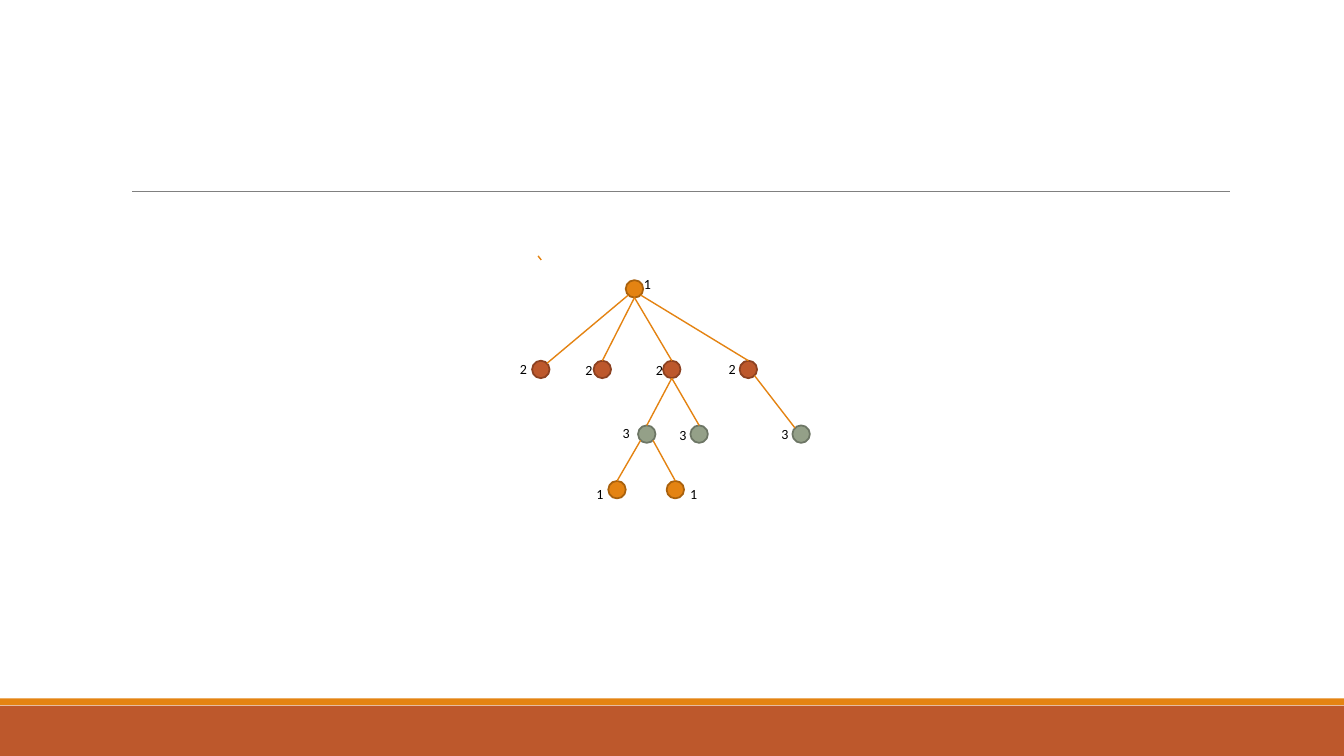
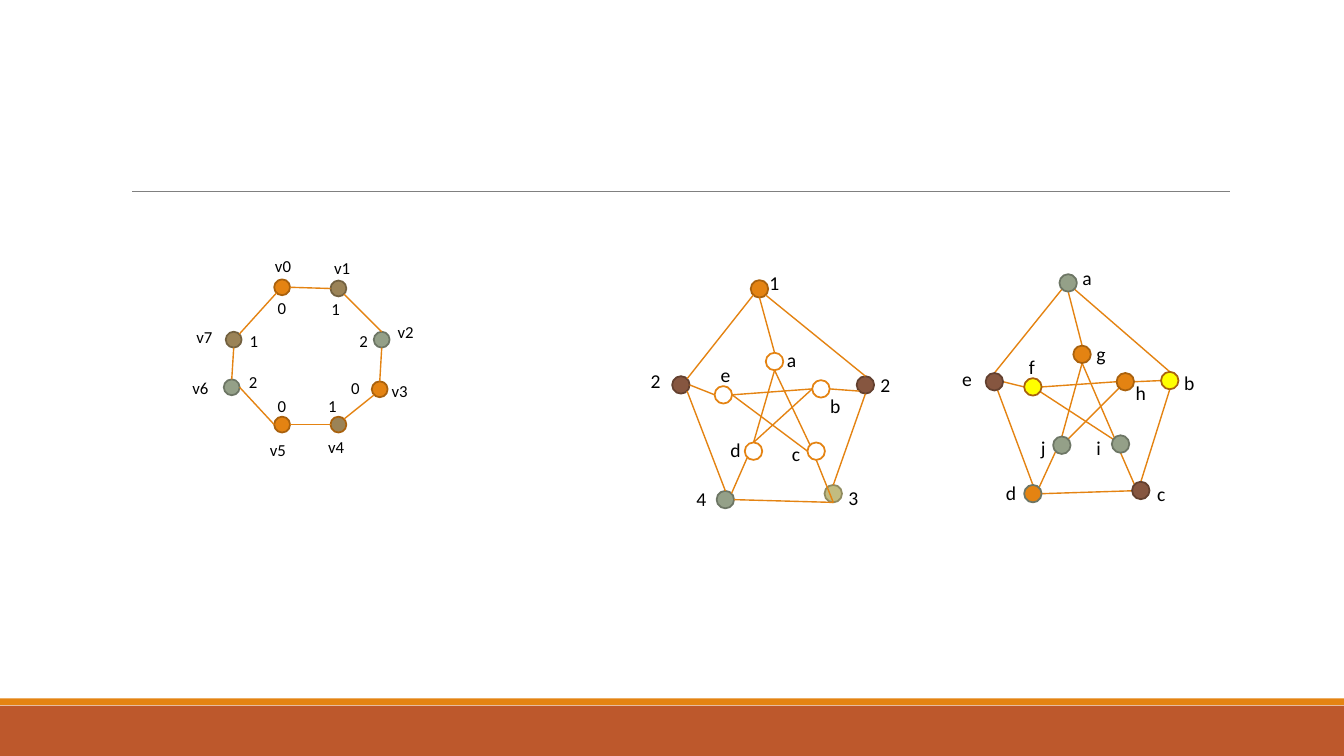
from math import cos, radians, sin
from typing import NamedTuple

from lxml import etree
from pptx import Presentation
from pptx.dml.color import RGBColor
from pptx.enum.shapes import MSO_CONNECTOR as Connector, MSO_SHAPE as Preset
from pptx.enum.text import MSO_AUTO_SIZE as AutoSize
from pptx.oxml.ns import qn
from pptx.util import Cm, Pt

WIDTH, HEIGHT = 33.87, 19.05
ORANGE, RUST, BLACK, GREY = "E48312", "BD582C", "000000", "808080"
BLANK_LAYOUT = 6

# Fill and outline of each kind of node
NODE_STYLES = {
    "orange": (ORANGE, "A9610D"),
    "rust": (RUST, "8C4121"),
    "sage": ("94A088", "6D7665"),
    "tan": ("9B8357", "736140"),
    "tan, orange rim": ("9B8357", "A9610D"),
    "orange, sage rim": (ORANGE, "6D7665"),
    "brown": ("865640", "63402F"),
    "olive": ("C2BC80", "908B5F"),
    "yellow": ("FFFF00", "A9610D"),
    "hollow": (None, ORANGE),
}

# Points on a node's rim, as angles from east, clockwise
RIM = {side: 45 * step for step, side in enumerate(
    ["E", "SE", "S", "SW", "W", "NW", "N", "NE"])}


class Graph(NamedTuple):
    """Lengths in cm: nodes are relative to the box, labels to their node's centre."""
    nodes: dict     # name: (x, y, style)
    labels: list    # (node, text, left, top)
    edges: list     # "node side node side", side C being the centre
    diameter: float
    label_box: tuple
    label_size: int
    edges_in_front: bool = True


TREE = Graph(
    nodes={
        "root": (3.29, 0.93, "orange"),
        "p": (0.93, 2.96, "rust"), "q": (2.48, 2.96, "rust"),
        "r": (4.23, 2.96, "rust"), "s": (6.16, 2.96, "rust"),
        "t": (3.6, 4.59, "sage"), "u": (4.92, 4.59, "sage"),
        "v": (7.49, 4.59, "sage"),
        "w": (2.85, 5.99, "orange"), "x": (4.32, 5.99, "orange"),
    },
    labels=[
        ("root", "1", -0.01, -0.47),
        ("p", "2", -0.78, -0.35), ("q", "2", -0.68, -0.32),
        ("r", "2", -0.65, -0.32), ("s", "2", -0.75, -0.35),
        ("t", "3", -0.86, -0.37), ("u", "3", -0.75, -0.32),
        ("v", "3", -0.75, -0.35),
        ("w", "1", -0.77, -0.22), ("x", "1", 0.12, -0.22),
    ],
    edges=["root SW p NE", "root S q N", "root S r N", "root SE s N",
           "r S t N", "r S u N", "s SE v NW", "t SW w N", "t SE x N"],
    diameter=0.44, label_box=(0.53, 0.69), label_size=10,
)

CYCLE = Graph(
    nodes={
        "v0": (2.54, 1.14, "orange"), "v1": (3.96, 1.17, "tan"),
        "v2": (5.05, 2.46, "sage"), "v3": (5.0, 3.71, "orange"),
        "v4": (3.96, 4.6, "tan, orange rim"), "v5": (2.54, 4.6, "orange"),
        "v6": (1.27, 3.66, "sage"), "v7": (1.32, 2.46, "tan"),
    },
    labels=[
        ("v0", "v0", -0.43, -0.91), ("v0", "0", -0.36, 0.15),
        ("v1", "v1", -0.36, -0.89), ("v1", "1", -0.43, 0.13),
        ("v2", "v2", 0.15, -0.58), ("v2", "2", -0.81, -0.36),
        ("v3", "v3", 0.05, -0.33), ("v3", "0", -0.97, -0.41),
        ("v4", "v4", -0.51, 0.18), ("v4", "1", -0.51, -0.86),
        ("v5", "v5", -0.56, 0.25), ("v5", "0", -0.36, -0.86),
        ("v6", "v6", -1.24, -0.36), ("v6", "2", 0.18, -0.51),
        ("v7", "v7", -1.19, -0.46), ("v7", "1", 0.15, -0.36),
    ],
    edges=["v0 E v1 W", "v1 SE v2 N", "v2 S v3 N", "v3 SW v4 NE",
           "v4 W v5 E", "v5 W v6 E", "v6 N v7 S", "v7 NE v0 SW"],
    diameter=0.4, label_box=(1, 0.76), label_size=12,
)

NUMBERED_STAR = Graph(
    nodes={
        "top": (3.14, 0.68, "orange"), "right": (5.81, 3.1, "brown"),
        "low right": (5.0, 5.84, "olive"), "low left": (2.28, 5.99, "sage"),
        "left": (1.16, 3.1, "brown"),
        "a": (3.52, 2.51, "hollow"), "b": (4.69, 3.2, "hollow"),
        "c": (4.57, 4.77, "hollow"), "d": (2.99, 4.77, "hollow"),
        "e": (2.23, 3.35, "hollow"),
    },
    labels=[
        ("top", "1", 0, -0.58), ("right", "2", 0.13, -0.42),
        ("left", "2", -1.01, -0.53), ("low right", "3", 0.13, -0.32),
        ("low left", "4", -0.98, -0.45),
        ("a", "a", 0.06, -0.47), ("b", "b", -0.02, 0.01),
        ("c", "c", -0.86, -0.37), ("d", "d", -0.83, -0.45),
        ("e", "e", -0.32, -0.93),
    ],
    edges=["top,SW,left,NE", "top,SE,right,N", "right,S,low right,N",
           "low left,E,low right,S", "left,SE,low left,N",
           "a,N,top,S", "b,E,right,SW", "c,S,low right,S",
           "d,SW,low left,NE", "e,W,left,E",
           "a,S,c,NW", "a,S,d,N", "b,W,d,N", "b,W,e,E", "c,W,e,E"],
    diameter=0.44, label_box=(0.89, 0.86), label_size=14,
)

LETTERED_STAR = Graph(
    nodes={
        "a": (2.92, 0.53, "sage"), "b": (5.48, 2.99, "yellow"),
        "c": (4.75, 5.76, "brown"), "d": (2.03, 5.84, "orange, sage rim"),
        "e": (1.06, 3.02, "brown"), "f": (2.03, 3.15, "yellow"),
        "g": (3.27, 2.33, "orange"), "h": (4.36, 3.02, "orange"),
        "i": (4.24, 4.59, "sage"), "j": (2.76, 4.62, "sage"),
    },
    labels=[
        ("a", "a", 0.11, -0.55), ("b", "b", 0.11, -0.37),
        ("c", "c", 0.16, -0.35), ("d", "d", -0.93, -0.45),
        ("e", "e", -1.06, -0.5), ("f", "f", -0.35, -0.93),
        ("g", "g", 0.11, -0.45), ("h", "h", 0.01, -0.14),
        ("i", "i", -0.86, -0.32), ("j", "j", -0.78, -0.35),
    ],
    edges=["a SW e N", "a SE b N", "b S c N", "c C d E", "d N e C",
           "a S g N", "b W h E", "c S i S", "d NE j SW", "e E f W",
           "g S i NW", "g S j N", "h C j NE", "h W f E", "i C f C"],
    diameter=0.44, label_box=(0.89, 0.86), label_size=14,
    edges_in_front=False,
)


def colour(value):
    return RGBColor.from_string(value)


def add_filled(page, preset, box, fill, outline=None):
    shape = page.shapes.add_shape(preset, *map(Cm, box))
    shape.shadow.inherit = False
    if fill:
        shape.fill.solid()
        shape.fill.fore_color.rgb = colour(fill)
    else:
        shape.fill.background()
    if outline:
        shape.line.color.rgb = colour(outline)
        shape.line.width = Pt(1.25)
    else:
        shape.line.fill.background()


def add_line(page, start, end, line_colour=ORANGE, width=1):
    line = page.shapes.add_connector(Connector.STRAIGHT, *map(Cm, (*start, *end)))
    line.line.color.rgb = colour(line_colour)
    line.line.width = Pt(width)
    etree.SubElement(line.element.spPr, qn("a:effectLst"))


def add_label(page, text, box, size):
    frame = page.shapes.add_textbox(*map(Cm, box)).text_frame
    frame.word_wrap = True
    frame.auto_size = AutoSize.SHAPE_TO_FIT_TEXT
    span = frame.paragraphs[0].add_run()
    span.text = text
    for key, value in {"name": "Calibri", "size": Pt(size)}.items():
        setattr(span.font, key, value)
    span.font.color.rgb = colour(BLACK)


def add_graph(page, graph, left, top):
    centres = {name: (left + x, top + y) for name, (x, y, _) in graph.nodes.items()}
    radius = graph.diameter / 2

    def rim_point(name, side):
        x, y = centres[name]
        if side == "C":
            return x, y
        angle = radians(RIM[side])
        return x + radius * cos(angle), y + radius * sin(angle)

    def draw_nodes():
        for name, (x, y) in centres.items():
            box = (x - radius, y - radius, graph.diameter, graph.diameter)
            add_filled(page, Preset.OVAL, box, *NODE_STYLES[graph.nodes[name][2]])

    def draw_edges():
        for edge in graph.edges:
            first, side, second, far_side = edge.split("," if "," in edge else " ")
            add_line(page, rim_point(first, side), rim_point(second, far_side))

    steps = [draw_nodes, draw_edges]
    for draw in steps if graph.edges_in_front else reversed(steps):
        draw()
    for name, text, dx, dy in graph.labels:
        x, y = centres[name]
        add_label(page, text, (x + dx, y + dy, *graph.label_box), graph.label_size)


def add_page(deck):
    """Add a slide with the rule and the two bottom bands."""
    page = deck.slides.add_slide(deck.slide_layouts[BLANK_LAYOUT])
    add_filled(page, Preset.RECTANGLE, (0, 17.78, WIDTH, 1.27), RUST)
    add_filled(page, Preset.RECTANGLE, (0, 17.6, WIDTH, 0.17), ORANGE)
    add_line(page, (3.33, 4.82), (31, 4.82), GREY, 0.5)
    return page


def add_tree_page(deck):
    page = add_page(deck)
    left, top = 12.7, 6.35
    add_graph(page, TREE, left, top)
    add_line(page, (left + 0.94, top + 0.2), (left + 0.86, top + 0.1))


def add_colouring_page(deck):
    page = add_page(deck)
    add_graph(page, CYCLE, 4.57, 6.1)
    add_graph(page, NUMBERED_STAR, 16, 6.6)
    add_graph(page, LETTERED_STAR, 24, 6.6)


def main():
    deck = Presentation()
    deck.slide_width, deck.slide_height = Cm(WIDTH), Cm(HEIGHT)
    add_tree_page(deck)
    add_colouring_page(deck)
    deck.save("out.pptx")


if __name__ == "__main__":
    main()
